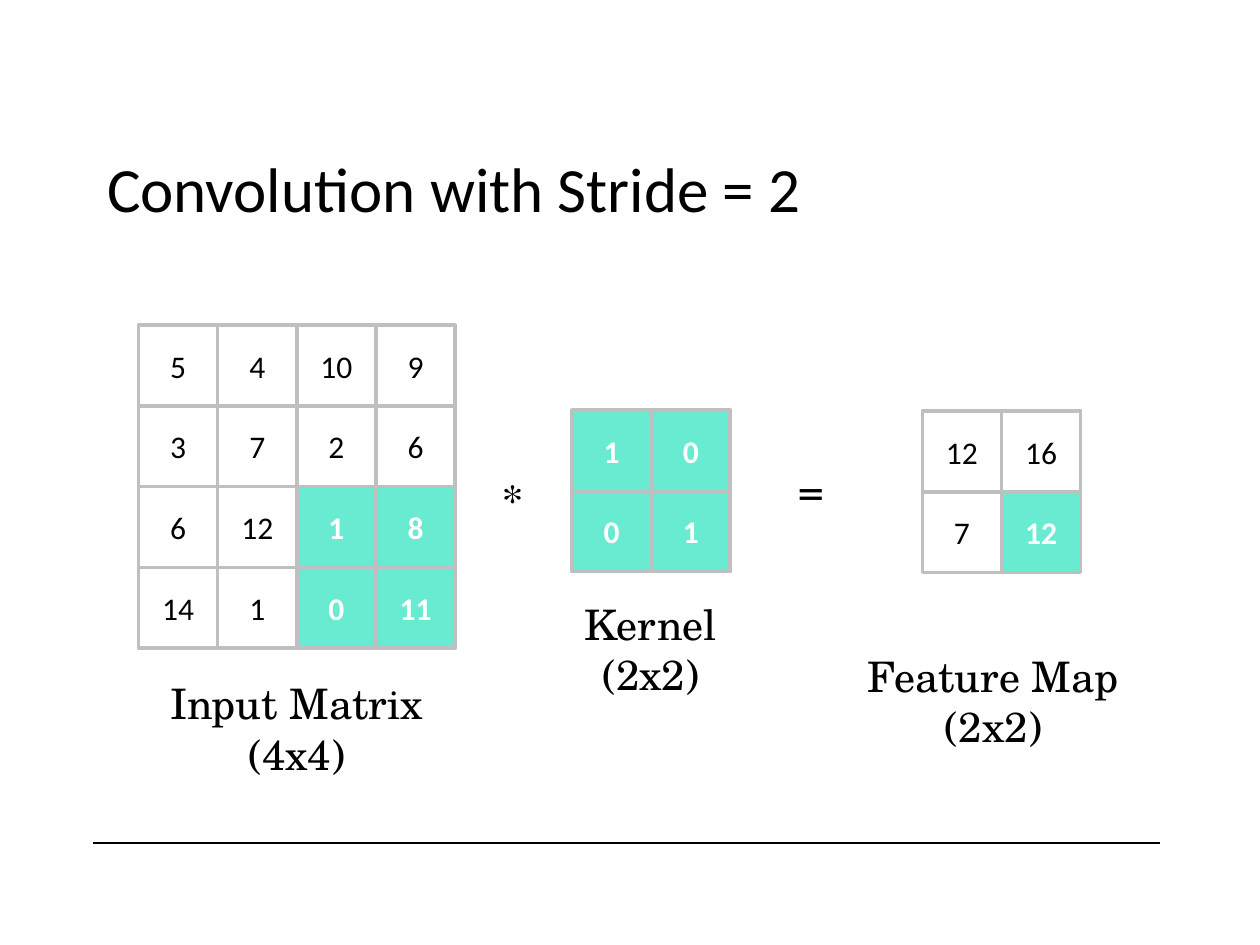
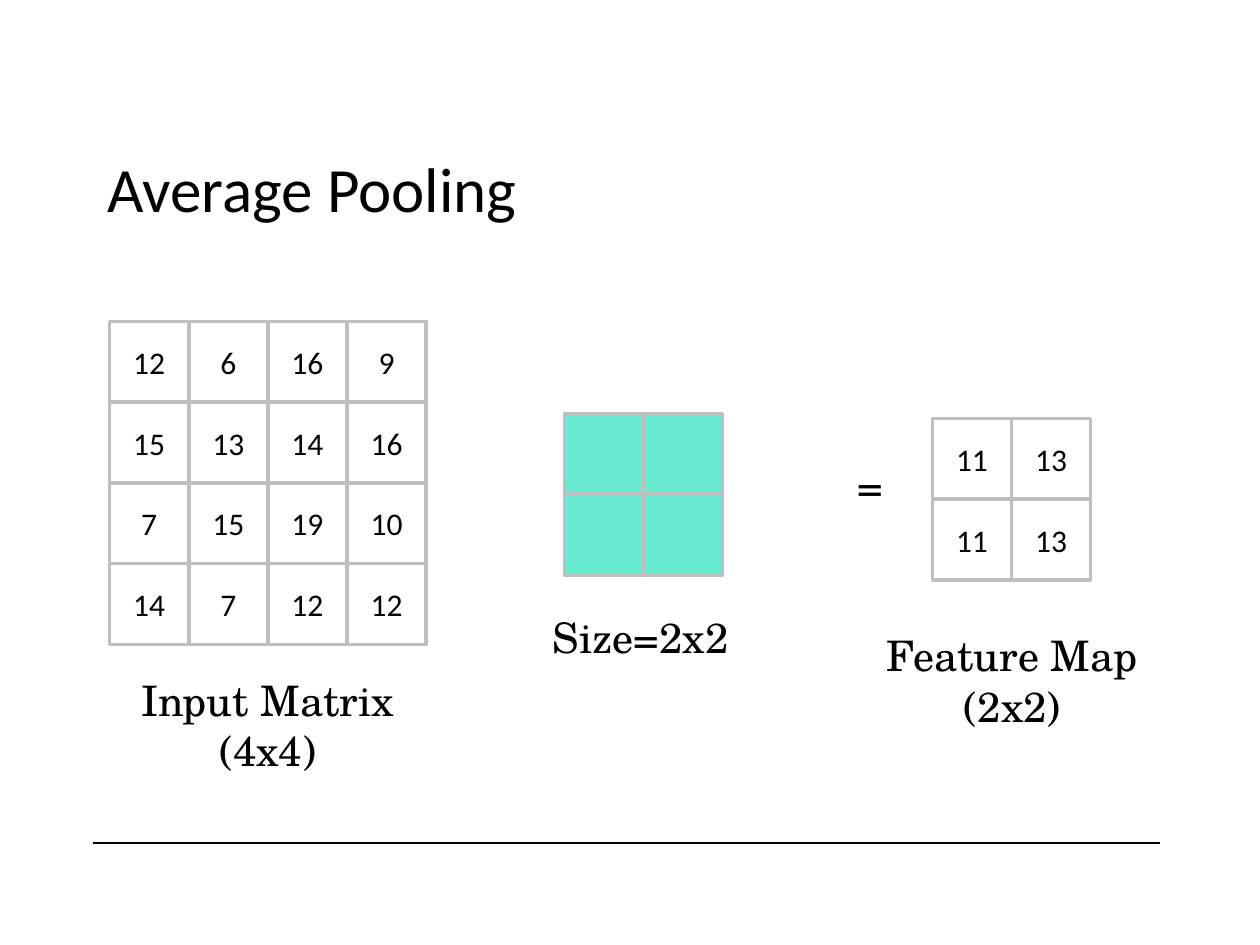
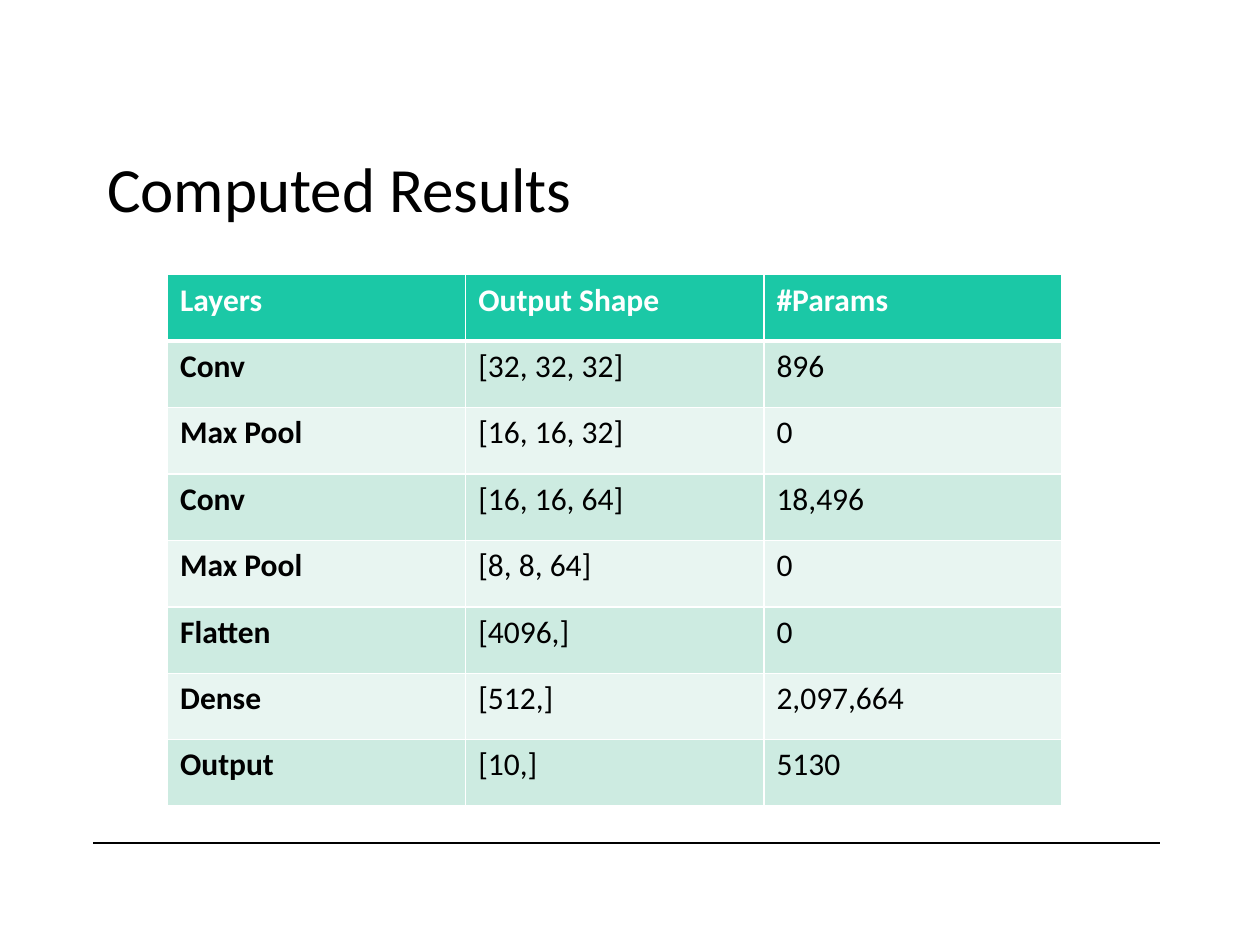
from lxml import etree
from pptx import Presentation
from pptx.dml.color import RGBColor
from pptx.enum.shapes import MSO_CONNECTOR, MSO_SHAPE
from pptx.enum.text import MSO_ANCHOR, PP_ALIGN
from pptx.oxml.ns import qn
from pptx.util import Inches, Pt

STRAIGHT = MSO_CONNECTOR.STRAIGHT
RECTANGLE = MSO_SHAPE.RECTANGLE
TOP, MIDDLE = MSO_ANCHOR.TOP, MSO_ANCHOR.MIDDLE
LEFT, CENTER = PP_ALIGN.LEFT, PP_ALIGN.CENTER

SLIDE_W, SLIDE_H = Inches(10), Inches(7.5)
TITLE_ONLY = 5
SANS, SERIF = "Calibri", "TeX Gyre Schola"
BLACK, WHITE, GREY = "000000", "FFFFFF", "BFBFBF"
MINT, TEAL = "69EBD1", "1BC8A6"
BANDS = ("CDEBE1", "E8F5F1")

CELL_W, CELL_H = 6.28, 8.55
CAPTION_W, CAPTION_H = 23.7, 12.13
SIGN_W, SIGN_H = 6.2, 6.67

LAYERS = [
    ("Layers", "Output Shape", "#Params"),
    ("Conv", "[32, 32, 32]", "896"),
    ("Max Pool", "[16, 16, 32]", "0"),
    ("Conv", "[16, 16, 64]", "18,496"),
    ("Max Pool", "[8, 8, 64]", "0"),
    ("Flatten", "[4096,]", "0"),
    ("Dense", "[512,]", "2,097,664"),
    ("Output", "[10,]", "5130"),
]


def color(hex_code):
    """Turn a hex string into a colour."""
    return RGBColor.from_string(hex_code)


def area(left, top, width, height):
    """Turn percentages of the slide's size into lengths."""
    return (int(SLIDE_W * left / 100), int(SLIDE_H * top / 100),
            int(SLIDE_W * width / 100), int(SLIDE_H * height / 100))


def write(frame, text, size=18, font=SANS, ink=BLACK, bold=False,
          align=LEFT, anchor=TOP, spacing=None):
    """Fill a text frame, one paragraph for each line of text."""
    frame.word_wrap = True
    frame.vertical_anchor = anchor
    for index, line in enumerate(text.split("\n")):
        paragraph = frame.add_paragraph() if index else frame.paragraphs[0]
        paragraph.alignment = align
        paragraph.line_spacing = spacing
        run = paragraph.add_run()
        run.text = line
        run.font.size = Pt(size)
        run.font.name = font
        run.font.bold = bold
        run.font.color.rgb = color(ink)


def add_titled_slide(deck, heading):
    """Add a slide with its title and the rule at its foot."""
    slide = deck.slides.add_slide(deck.slide_layouts[TITLE_ONLY])
    title = slide.shapes.title
    title.left, title.top, title.width, title.height = area(7.5, 14.53, 84.6, 12.13)
    write(title.text_frame, heading, size=36, anchor=MIDDLE, spacing=0.8)
    left, top, width, _ = area(7.4, 89.2, 84.7, 0)
    rule = slide.shapes.add_connector(STRAIGHT, left, top, left + width, top)
    rule.line.color.rgb = color(BLACK)
    rule.line.width = Pt(0.75)
    etree.SubElement(rule.line._get_or_add_ln().getparent(), qn("a:effectLst"))
    return slide


def add_matrix(slide, left, top, rows, marked=()):
    """Draw a matrix of square cells, with the marked (row, column) cells in mint."""
    for row, values in enumerate(rows):
        for column, value in enumerate(values):
            is_marked = (row, column) in marked
            cell = slide.shapes.add_shape(RECTANGLE, *area(
                left + column * CELL_W, top + row * CELL_H, CELL_W, CELL_H))
            cell.shadow.inherit = False
            cell.fill.solid()
            cell.fill.fore_color.rgb = color(MINT if is_marked else WHITE)
            cell.line.color.rgb = color(GREY)
            cell.line.width = Pt(2)
            if value != "":
                write(cell.text_frame, str(value), bold=is_marked, align=CENTER,
                      ink=WHITE if is_marked else BLACK, anchor=MIDDLE)


def add_label(slide, left, top, text, width=CAPTION_W, height=CAPTION_H, align=CENTER):
    """Add a serif caption or operator sign."""
    label = slide.shapes.add_textbox(*area(left, top, width, height))
    write(label.text_frame, text, size=24, font=SERIF, align=align)


def add_sign(slide, left, top, sign):
    """Add an operator between two matrices."""
    add_label(slide, left, top, sign, SIGN_W, SIGN_H)


def set_borders(cell, bottom):
    """Give a table cell white borders, with its own bottom width."""
    properties = cell._tc.get_or_add_tcPr()
    for side, width in (("L", 1), ("R", 1), ("T", 1), ("B", bottom)):
        border = etree.SubElement(properties, qn(f"a:ln{side}"), w=str(Pt(width)))
        fill = etree.SubElement(border, qn("a:solidFill"))
        etree.SubElement(fill, qn("a:srgbClr"), val=WHITE)


def add_layer_table(slide, rows):
    """Add a banded table with a header row and a bold first column."""
    table = slide.shapes.add_table(
        len(rows), len(rows[0]), *area(13.3, 29.07, 71, 56.27)).table
    table.first_row = table.horz_banding = False
    for row, values in enumerate(rows):
        is_header = row == 0
        background = TEAL if is_header else BANDS[(row - 1) % 2]
        for column, value in enumerate(values):
            cell = table.cell(row, column)
            set_borders(cell, bottom=3 if is_header else 1)
            cell.fill.solid()
            cell.fill.fore_color.rgb = color(background)
            write(cell.text_frame, value, bold=is_header or column == 0,
                  ink=WHITE if is_header else BLACK)


def add_convolution(deck):
    """Build the slide on convolution with a stride of two."""
    slide = add_titled_slide(deck, "Convolution with Stride = 2")
    add_matrix(slide, 11, 34.4,
               [(5, 4, 10, 9), (3, 7, 2, 6), (6, 12, 1, 8), (14, 1, 0, 11)],
               marked=[(2, 2), (2, 3), (3, 2), (3, 3)])
    add_sign(slide, 37.6, 49.6, "*")
    add_matrix(slide, 45.4, 43.4, [(1, 0), (0, 1)],
               marked=[(0, 0), (0, 1), (1, 0), (1, 1)])
    add_sign(slide, 61.3, 48.4, "=")
    add_matrix(slide, 73.2, 43.5, [(12, 16), (7, 12)], marked=[(1, 1)])
    add_label(slide, 11.7, 71.07, "Input Matrix\n(4x4)")
    add_label(slide, 39.8, 62.67, "Kernel\n(2x2)")
    add_label(slide, 67, 68.13, "Feature Map\n(2x2)")


def add_pooling(deck):
    """Build the slide on average pooling."""
    slide = add_titled_slide(deck, "Average Pooling")
    add_matrix(slide, 8.7, 34,
               [(12, 6, 16, 9), (15, 13, 14, 16), (7, 15, 19, 10), (14, 7, 12, 12)])
    add_matrix(slide, 44.8, 43.73, [("", ""), ("", "")],
               marked=[(0, 0), (0, 1), (1, 0), (1, 1)])
    add_sign(slide, 66, 48, "=")
    add_matrix(slide, 74, 44.27, [(11, 13), (11, 13)])
    add_label(slide, 9.4, 70.67, "Input Matrix\n(4x4)")
    add_label(slide, 42.9, 64, "Size=2x2", 16.4, SIGN_H, LEFT)
    add_label(slide, 68.5, 66, "Feature Map\n(2x2)")


def add_results(deck):
    """Build the slide with the computed layer sizes."""
    add_layer_table(add_titled_slide(deck, "Computed Results"), LAYERS)


def main():
    """Build and save the presentation."""
    deck = Presentation()
    deck.slide_width, deck.slide_height = SLIDE_W, SLIDE_H
    add_convolution(deck)
    add_pooling(deck)
    add_results(deck)
    deck.save("out.pptx")


if __name__ == "__main__":
    main()
